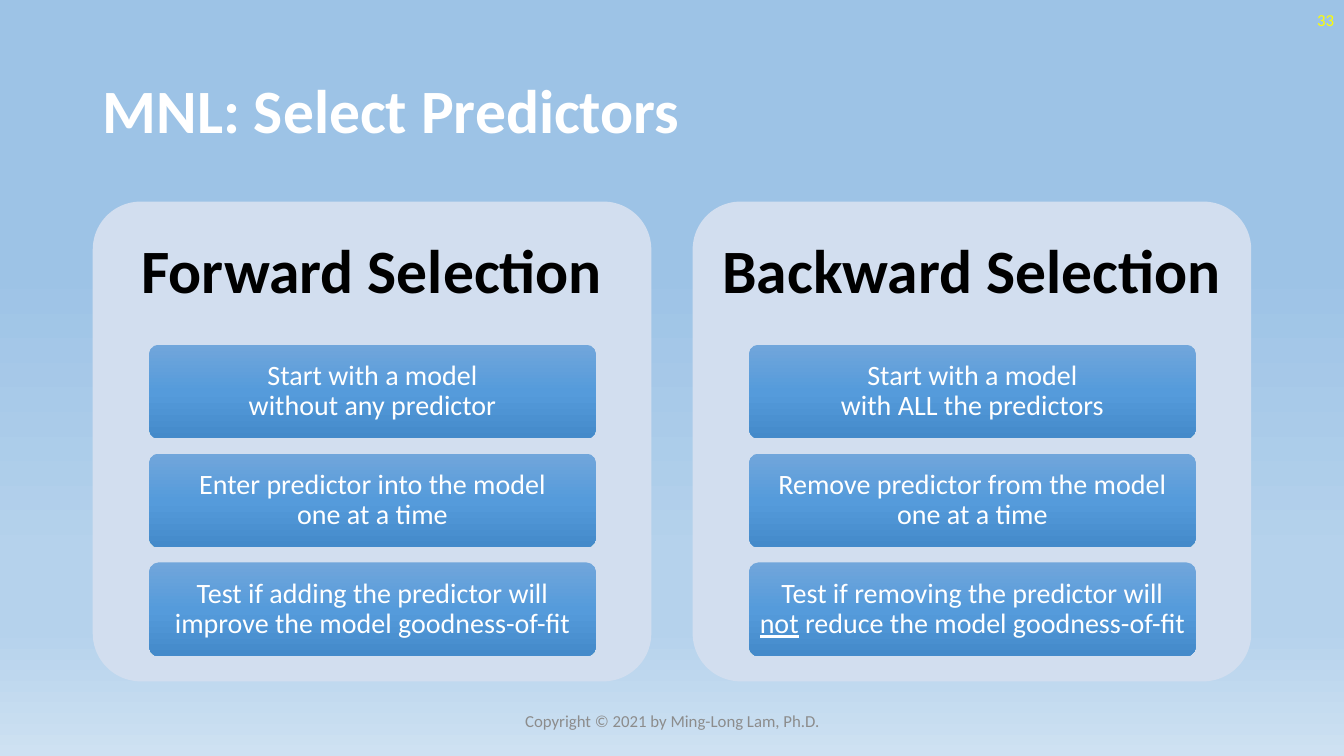
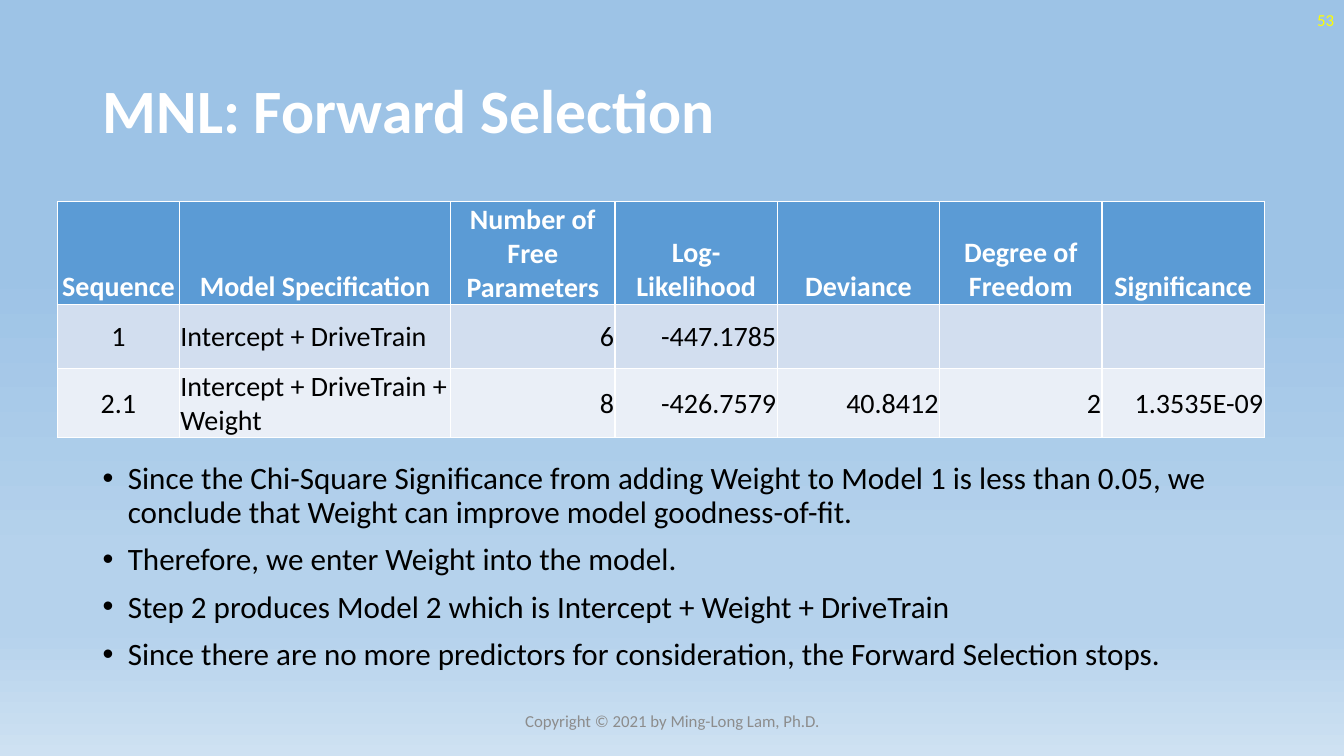
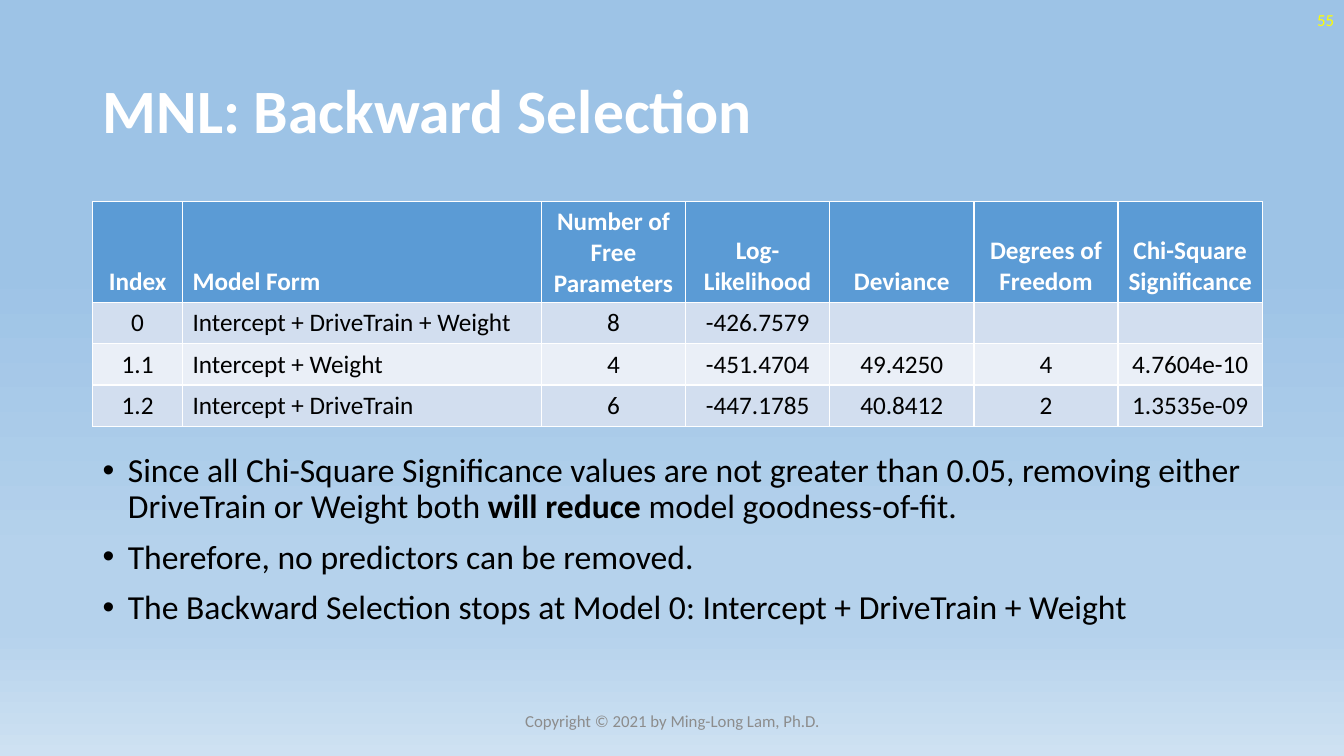
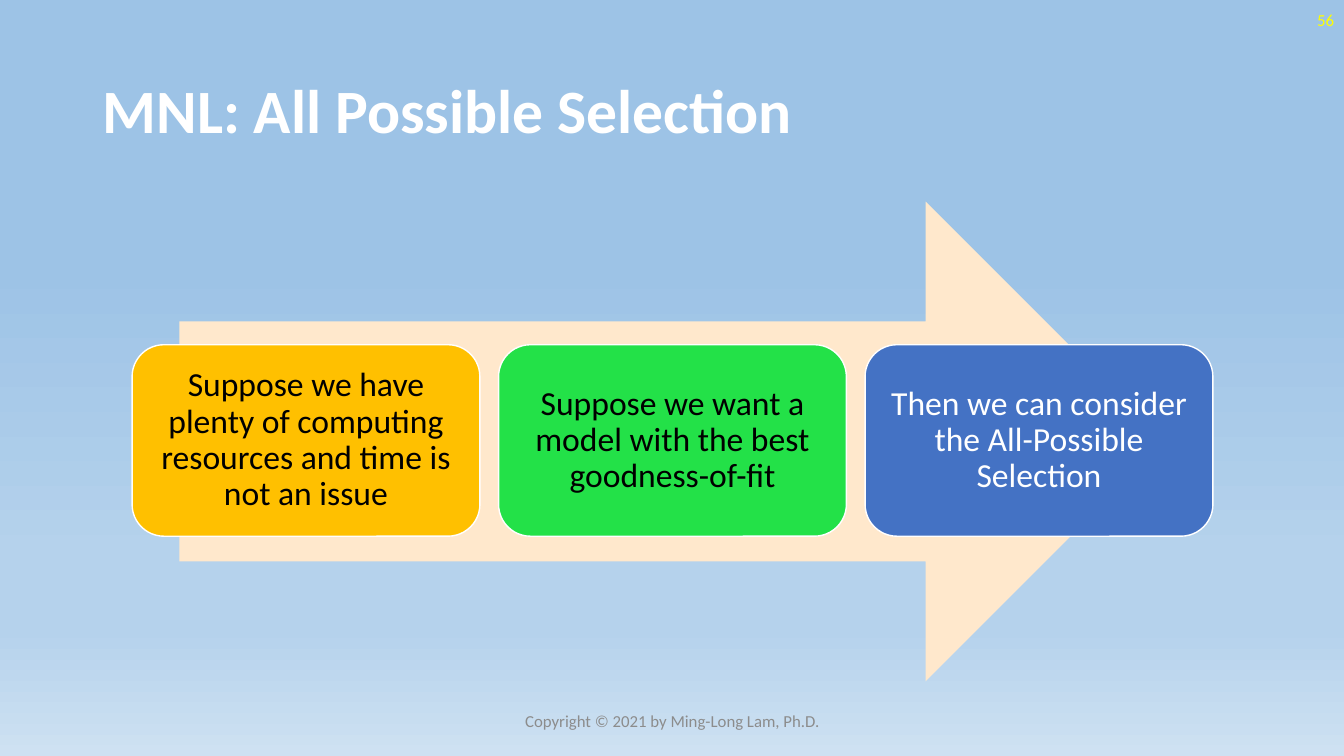
from lxml import etree
from pptx import Presentation
from pptx.dml.color import RGBColor
from pptx.enum.shapes import MSO_SHAPE
from pptx.enum.text import MSO_ANCHOR, PP_ALIGN
from pptx.oxml.ns import qn
from pptx.util import Inches, Pt

LEFT, CENTER, RIGHT = PP_ALIGN.LEFT, PP_ALIGN.CENTER, PP_ALIGN.RIGHT
TOP, MIDDLE, BOTTOM = MSO_ANCHOR.TOP, MSO_ANCHOR.MIDDLE, MSO_ANCHOR.BOTTOM
ROUNDED, ARROW = MSO_SHAPE.ROUNDED_RECTANGLE, MSO_SHAPE.RIGHT_ARROW
ALIGN = {"l": LEFT, "c": CENTER, "r": RIGHT}

FONT = "Calibri"
WHITE, BLACK, YELLOW, GRAY = "FFFFFF", "000000", "FFFF00", "8C8C8C"
HEADER, PALE, PALER = "5B9BD5", "D2DEEF", "EAEFF7"
BACKGROUND = [(35, "9DC3E6"), (74, "B5D2EC"), (83, "B5D2EC"), (100, "CEE1F2")]
STEP_BLUE = [(0, "71A6DB"), (50, "559BDB"), (100, "448ACA")]
FOOTER = "Copyright © 2021 by Ming-Long Lam, Ph.D."

rgb = RGBColor.from_string


def set_gradient(fill, element, stops):
    fill.gradient()
    fill.gradient_angle = 270
    gs_list = next(element.iter(qn("a:gsLst")))
    for gs in list(gs_list):
        gs_list.remove(gs)
    for position, color in stops:
        gs = etree.SubElement(gs_list, qn("a:gs"), pos=str(position * 1000))
        etree.SubElement(gs, qn("a:srgbClr"), val=color)


def write(tf, text, size, color, align=LEFT, bold=False, spacing=1.0, anchor=MIDDLE, inset=(0.1, 0.05)):
    tf.word_wrap = True
    tf.vertical_anchor = anchor
    tf.margin_left = tf.margin_right = Inches(inset[0])
    tf.margin_top = tf.margin_bottom = Inches(inset[1])
    p = tf.paragraphs[0] if not tf.text else tf.add_paragraph()
    first, *others = text.split("|")
    p.text = first
    for part in others:
        p.add_run().text = part
    p.alignment = align
    p.line_spacing = spacing
    p.font.name = FONT
    p.font.size = Pt(size)
    p.font.bold = bold
    p.font.color.rgb = rgb(color)
    return p


prs = Presentation()
prs.slide_width, prs.slide_height = Inches(13.33), Inches(7.5)
master = prs.slide_master
set_gradient(master.background.fill, master.element, BACKGROUND)

titles = [
    ("MNL: Select Predictors", "33"),
    ("MNL: Forward Selection", "53"),
    ("MNL: Backward Selection", "55"),
    ("MNL: All Possible Selection", "56"),
]
for title, number in titles:
    s = prs.slides.add_slide(prs.slide_layouts[6])
    tb = s.shapes.add_textbox(Inches(0.92), Inches(0.4), Inches(11.5), Inches(1.45))
    write(tb.text_frame, title, 44, WHITE, bold=True, spacing=0.9)
    tb = s.shapes.add_textbox(Inches(10.33), Inches(0), Inches(3), Inches(0.4))
    write(tb.text_frame, number, 12, YELLOW, RIGHT)
    tb = s.shapes.add_textbox(Inches(4.42), Inches(6.95), Inches(4.5), Inches(0.4))
    write(tb.text_frame, FOOTER, 12, GRAY, CENTER)
select_slide, forward_slide, backward_slide, all_slide = prs.slides

cards = [
    ("Forward Selection", [
        "Start with a model\nwithout any predictor",
        "Enter predictor into the model\none at a time",
        "Test if adding the predictor will\nimprove the model goodness-of-fit",
    ]),
    ("Backward Selection", [
        "Start with a model\nwith ALL the predictors",
        "Remove predictor from the model\none at a time",
        "Test if removing the predictor will\n|not| reduce the model goodness-of-fit",
    ]),
]
for i, (heading, steps) in enumerate(cards):
    x = 0.92 + 5.95 * i
    sp = select_slide.shapes.add_shape(ROUNDED, Inches(x), Inches(2), Inches(5.54), Inches(4.76))
    sp.adjustments[0] = 0.1
    sp.shadow.inherit = False
    sp.fill.solid()
    sp.fill.fore_color.rgb = rgb(PALE)
    sp.line.fill.background()
    tb = select_slide.shapes.add_textbox(Inches(x), Inches(2), Inches(5.54), Inches(1.43))
    write(tb.text_frame, heading, 44, BLACK, CENTER, True, 0.9, inset=(0.18, 0.18))
    for j, step in enumerate(steps):
        sp = select_slide.shapes.add_shape(
            ROUNDED, Inches(x + 0.56), Inches(3.42 + 1.08 * j), Inches(4.43), Inches(0.93))
        sp.adjustments[0] = 0.1
        sp.shadow.inherit = False
        set_gradient(sp.fill, sp.element, STEP_BLUE)
        sp.line.fill.background()
        p = write(sp.text_frame, step, 20, WHITE, CENTER, spacing=0.9, inset=(0.06, 0.04))
        if len(p.runs) > 2:
            p.runs[-2].font.underline = True

tables = [
    dict(
        slide=forward_slide, left=0.57, size=20, margins=(0.01, 0.01, 0),
        widths=[1.21, 2.69, 1.63] + [1.61] * 4, heights=[1.02, 0.64, 0.67],
        header_align="ccccccc", body_align="clrrrrr",
        rows=[
            ["Sequence", "Model Specification", "Number of Free Parameters", "Log-Likelihood",
             "Deviance", "Degree of Freedom", "Significance"],
            ["1", "Intercept + DriveTrain", "6", "-447.1785", "", "", ""],
            ["2.1", "Intercept + DriveTrain + Weight", "8", "-426.7579", "40.8412", "2", "1.3535E-09"],
        ],
        bullets_top=4.54, bullet_size=22.2,
        bullets=[
            "Since the Chi-Square Significance from adding Weight to Model 1 is less than 0.05, "
            "we conclude that Weight can improve model goodness-of-fit.",
            "Therefore, we enter Weight into the model.",
            "Step 2 produces Model 2 which is Intercept + Weight + DriveTrain",
            "Since there are no more predictors for consideration, the Forward Selection stops.",
        ],
    ),
    dict(
        slide=backward_slide, left=0.92, size=18, margins=(0.1, 0.05, 0.05),
        widths=[0.89, 3.56] + [1.43] * 5, heights=[1.0] + [0.41] * 3,
        header_align="clccccc", body_align="clccccc",
        rows=[
            ["Index", "Model Form", "Number of Free Parameters", "Log-Likelihood",
             "Deviance", "Degrees of Freedom", "Chi-Square Significance"],
            ["0", "Intercept + DriveTrain + Weight", "8", "-426.7579", "", "", ""],
            ["1.1", "Intercept + Weight", "4", "-451.4704", "49.4250", "4", "4.7604e-10"],
            ["1.2", "Intercept + DriveTrain", "6", "-447.1785", "40.8412", "2", "1.3535e-09"],
        ],
        bullets_top=4.45, bullet_size=24,
        bullets=[
            "Since all Chi-Square Significance values are not greater than 0.05, removing either "
            "DriveTrain or Weight both |will reduce| model goodness-of-fit.",
            "Therefore, no predictors can be removed.",
            "The Backward Selection stops at Model 0: Intercept + DriveTrain + Weight",
        ],
    ),
]
for t in tables:
    s = t["slide"]
    widths, heights = t["widths"], t["heights"]
    table = s.shapes.add_table(
        len(heights), len(widths), Inches(t["left"]), Inches(2),
        Inches(sum(widths)), Inches(sum(heights))).table
    for column, width in zip(table.columns, widths):
        column.width = Inches(width)
    side, top, bottom = t["margins"]
    for i, values in enumerate(t["rows"]):
        table.rows[i].height = Inches(heights[i])
        is_header = i == 0
        aligns = t["header_align"] if is_header else t["body_align"]
        for j, value in enumerate(values):
            cell = table.cell(i, j)
            cell.fill.solid()
            cell.fill.fore_color.rgb = rgb(HEADER if is_header else PALE if i % 2 else PALER)
            cell.vertical_anchor = BOTTOM if is_header else MIDDLE
            cell.margin_left = cell.margin_right = Inches(side)
            cell.margin_top, cell.margin_bottom = Inches(top), Inches(bottom)
            p = cell.text_frame.paragraphs[0]
            p.text = value
            p.alignment = ALIGN[aligns[j]]
            p.font.name = FONT
            p.font.size = Pt(t["size"])
            p.font.bold = is_header
            p.font.color.rgb = rgb(WHITE if is_header else BLACK)

    tb = s.shapes.add_textbox(
        Inches(0.92), Inches(t["bullets_top"]), Inches(11.5), Inches(6.76 - t["bullets_top"]))
    for bullet in t["bullets"]:
        p = write(tb.text_frame, bullet, t["bullet_size"], BLACK, spacing=0.9, anchor=TOP)
        p.space_before = Pt(10)
        if len(p.runs) > 1:
            p.runs[1].font.bold = True
        pPr = p._p.get_or_add_pPr()
        pPr.set("marL", str(Inches(0.25)))
        pPr.set("indent", str(-Inches(0.25)))
        mark = etree.Element(qn("a:buFont"), typeface="Arial")
        pPr.find(qn("a:defRPr")).addprevious(mark)
        mark.addnext(etree.Element(qn("a:buChar"), char="•"))

sp = all_slide.shapes.add_shape(ARROW, Inches(1.78), Inches(2), Inches(9.78), Inches(4.76))
sp.shadow.inherit = False
sp.fill.solid()
sp.fill.fore_color.rgb = rgb("FFE8CC")
sp.line.fill.background()

stages = [
    ("Suppose we have plenty of computing resources and time is not an issue", "FFC000", BLACK),
    ("Suppose we want a model with the best goodness-of-fit", "23E148", BLACK),
    ("Then we can consider the All-Possible Selection", "4472C4", WHITE),
]
for i, (text, color, text_color) in enumerate(stages):
    sp = all_slide.shapes.add_shape(
        ROUNDED, Inches(1.31 + 3.635 * i), Inches(3.42), Inches(3.45), Inches(1.9))
    sp.shadow.inherit = False
    sp.fill.solid()
    sp.fill.fore_color.rgb = rgb(color)
    sp.line.color.rgb = rgb(WHITE)
    sp.line.width = Pt(1)
    write(sp.text_frame, text, 24, text_color, CENTER, spacing=0.9, inset=(0.1, 0.1))

prs.save("out.pptx")
